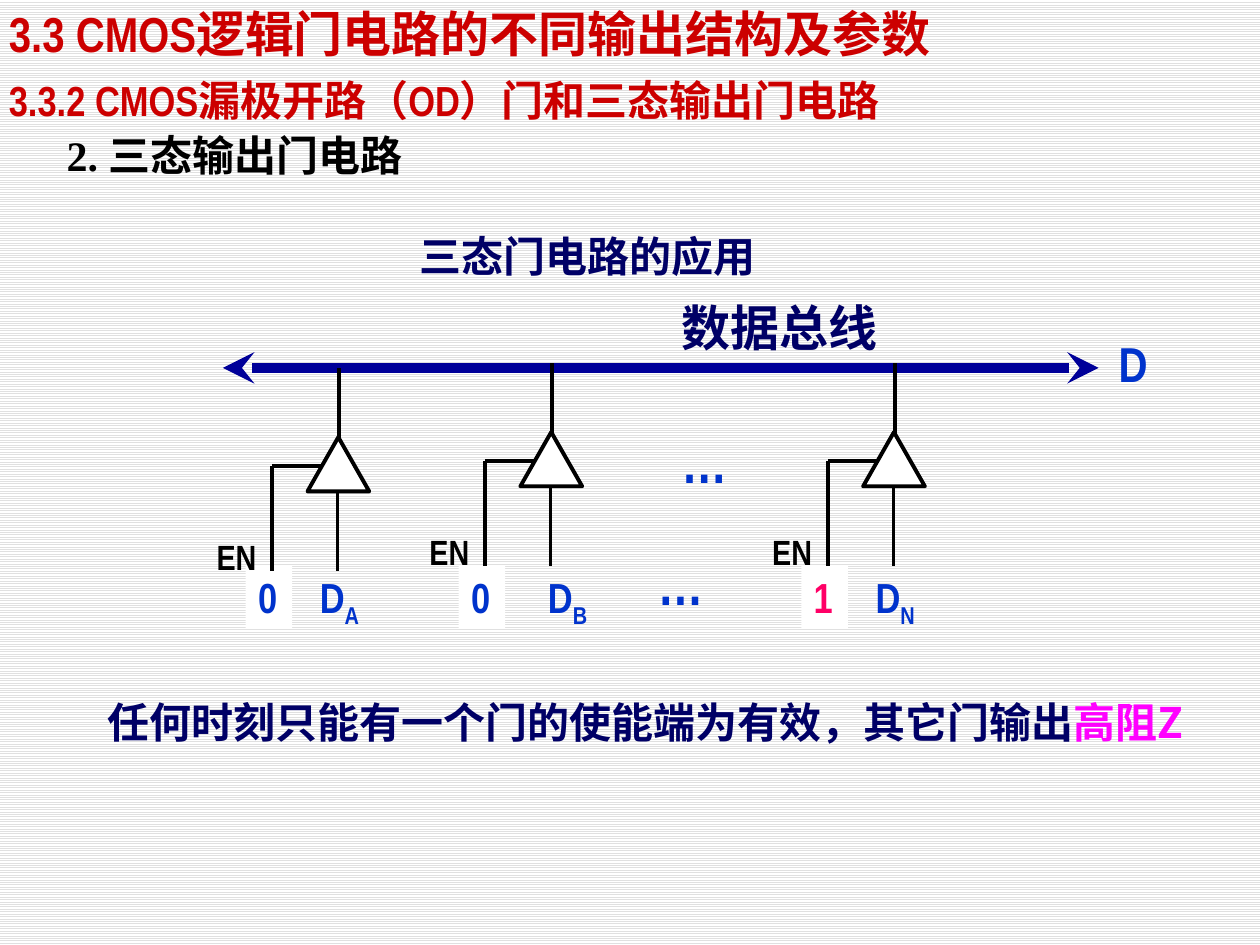
from dataclasses import dataclass

from lxml import etree
from pptx import Presentation
from pptx import util as u
from pptx.dml.color import RGBColor
from pptx.enum import dml, shapes, text
from pptx.oxml.ns import qn


@dataclass(frozen=True)
class Theme:
    red: str = "CC0000"
    navy: str = "000066"
    bus: str = "000099"
    blue: str = "0033CC"
    active: str = "FF0066"
    magenta: str = "FF00FF"
    black: str = "000000"
    white: str = "FFFFFF"
    stripe: str = "E0E0E0"
    narrow: str = "Arial Narrow"
    serif: str = "Times New Roman"
    chinese: str = "Noto Sans CJK SC"
    dots: int = 32
    large: int = 28
    normal: int = 24
    small: int = 20


@dataclass(frozen=True)
class Gate:
    """A tri-state gate; col and row give the triangle's top left corner."""
    col: float
    row: float
    enable: str
    data: str
    enable_color: str
    data_col: float


@dataclass(frozen=True)
class Label:
    words: str
    box: tuple[float, float, float, float]
    size: int
    color: str
    font: str = Theme.narrow
    wrap: bool = True
    bottom: bool = False


THEME = Theme()
COLUMNS, ROWS = 100, 75
CELL = u.Inches(0.1)
VALUE_ROW = 44.9

GATES = (
    Gate(24.4, 34.7, "0", "A", THEME.blue, 24.4),
    Gate(41.3, 34.3, "0", "B", THEME.blue, 42.5),
    Gate(68.5, 34.3, "1", "N", THEME.active, 68.5),
)

LABELS = (
    Label("2. 三态输出门电路", (4.3, 8.9, 35, 5.9), THEME.normal, THEME.black,
          THEME.serif, bottom=True),
    Label("三态门电路的应用", (32.3, 17.1, 55, 5.7), THEME.normal, THEME.navy,
          THEME.chinese, bottom=True),
    Label("数据总线", (53.1, 23.1, 21.6, 5.7), THEME.large, THEME.navy),
    Label("D", (87.8, 26, 9, 5.7), THEME.large, THEME.blue),
    Label("…", (53.1, 33.4, 6.5, 6.3), THEME.dots, THEME.blue, wrap=False),
    Label("…", (51.2, 43.1, 6.5, 6.3), THEME.dots, THEME.blue, wrap=False),
)


def cells(*counts: float) -> list[int]:
    return [round(count * CELL) for count in counts]


def rgb(color: str) -> RGBColor:
    return RGBColor.from_string(color)


def write(shape, label: Label):
    """Put the label's words in the shape and return the paragraph."""
    frame = shape.text_frame
    frame.word_wrap = label.wrap
    frame.auto_size = (text.MSO_AUTO_SIZE.NONE if label.bottom
                       else text.MSO_AUTO_SIZE.SHAPE_TO_FIT_TEXT)
    frame.vertical_anchor = (text.MSO_ANCHOR.BOTTOM if label.bottom
                             else text.MSO_ANCHOR.TOP)
    paragraph = frame.paragraphs[0]
    paragraph.add_run().text = label.words
    paragraph.alignment = text.PP_ALIGN.LEFT
    font = paragraph.font
    font.size, font.bold, font.name = u.Pt(label.size), True, label.font
    font.color.rgb = rgb(label.color)
    return paragraph


def add_label(slide, label: Label):
    return write(slide.shapes.add_textbox(*cells(*label.box)), label)


def add_heading(shape, label: Label) -> None:
    shape.left, shape.top, shape.width, shape.height = cells(*label.box)
    frame = shape.text_frame
    frame.margin_left = frame.margin_right = u.Inches(0.02)
    frame.margin_top = frame.margin_bottom = u.Inches(0.01)
    write(shape, label)


def add_line(slide, start: tuple[float, float], end: tuple[float, float],
             width: float = 2, color: str = THEME.black, arrow: bool = False) -> None:
    line = slide.shapes.add_connector(
        shapes.MSO_CONNECTOR.STRAIGHT, *cells(*start, *end))
    line.line.width = u.Pt(width)
    line.line.color.rgb = rgb(color)
    if arrow:
        etree.SubElement(line.line._get_or_add_ln(), qn("a:tailEnd"), type="stealth")
    etree.SubElement(line._element.spPr, qn("a:effectLst"))


def add_box(slide, kind, box: tuple[float, float, float, float]):
    shape = slide.shapes.add_shape(kind, *cells(*box))
    shape.shadow.inherit = False
    shape.fill.solid()
    shape.fill.fore_color.rgb = rgb(THEME.white)
    shape.line.fill.background()
    return shape


def add_gate(slide, gate: Gate) -> None:
    col, row = gate.col, gate.row
    foot = row + 10.6
    corner = (col - 2.8, row + 2.3)

    # Enable value and data input
    value = add_box(slide, shapes.MSO_SHAPE.RECTANGLE, (col - 4.9, VALUE_ROW, 3.7, 5))
    write(value, Label(gate.enable, (), THEME.normal, gate.enable_color, wrap=False))
    data = add_label(slide, Label("D", (gate.data_col, VALUE_ROW, 8.8, 5),
                                  THEME.normal, THEME.blue))
    subscript = data.add_run()
    subscript.text = gate.data
    subscript.font._element.set("baseline", "-25000")

    # Data wire, output wire and gate symbol
    add_line(slide, (col + 2.4, row + 3.1), (col + 2.4, foot))
    add_line(slide, (col + 2.5, row + 2.7), (col + 2.5, row - 5.5), 2.25)
    triangle = add_box(slide, shapes.MSO_SHAPE.ISOSCELES_TRIANGLE, (col, row, 4.9, 4.3))
    triangle.line.color.rgb = rgb(THEME.black)
    triangle.line.width = u.Pt(2.25)

    # Enable wire
    add_line(slide, (col + 1.2, row + 2.3), corner)
    add_line(slide, corner, (corner[0], foot))
    add_label(slide, Label("EN", (col - 8.2, row + 7.3, 5.9, 4.3),
                           THEME.small, THEME.black, wrap=False))


def main() -> None:
    deck = Presentation()
    deck.slide_width, deck.slide_height = cells(COLUMNS, ROWS)
    slide = deck.slides.add_slide(deck.slide_layouts.get_by_name("Title Only"))

    # Striped background
    fill = slide.background.fill
    fill.patterned()
    fill.pattern = dml.MSO_PATTERN.LIGHT_HORIZONTAL
    fill.fore_color.rgb, fill.back_color.rgb = rgb(THEME.stripe), rgb(THEME.white)

    # Chapter and section headings
    add_heading(slide.shapes.title, Label(
        "3.3 CMOS逻辑门电路的不同输出结构及参数", (0.5, 0.2, 76.3, 4.9),
        THEME.large, THEME.red))
    add_heading(slide.shapes.add_textbox(0, 0, CELL, CELL), Label(
        "3.3.2 CMOS漏极开路（OD）门和三态输出门电路", (0.5, 5.8, 73.5, 4.3),
        THEME.normal, THEME.red))

    # Data bus, drawn outwards from its middle
    for end in (87.2, 17.7):
        add_line(slide, (53, 29.2), (end, 29.2), 6, THEME.bus, arrow=True)

    for gate in GATES:
        add_gate(slide, gate)
    for label in LABELS:
        add_label(slide, label)

    # Conclusion
    conclusion = add_label(slide, Label(
        "任何时刻只能有一个门的使能端为有效，其它门输出", (6.6, 54.8, 89.3, 5.1),
        THEME.normal, THEME.navy, THEME.chinese))
    conclusion.alignment = text.PP_ALIGN.CENTER
    high_impedance = conclusion.add_run()
    high_impedance.text = "高阻Z"
    high_impedance.font.color.rgb = rgb(THEME.magenta)

    deck.save("out.pptx")


if __name__ == "__main__":
    main()
